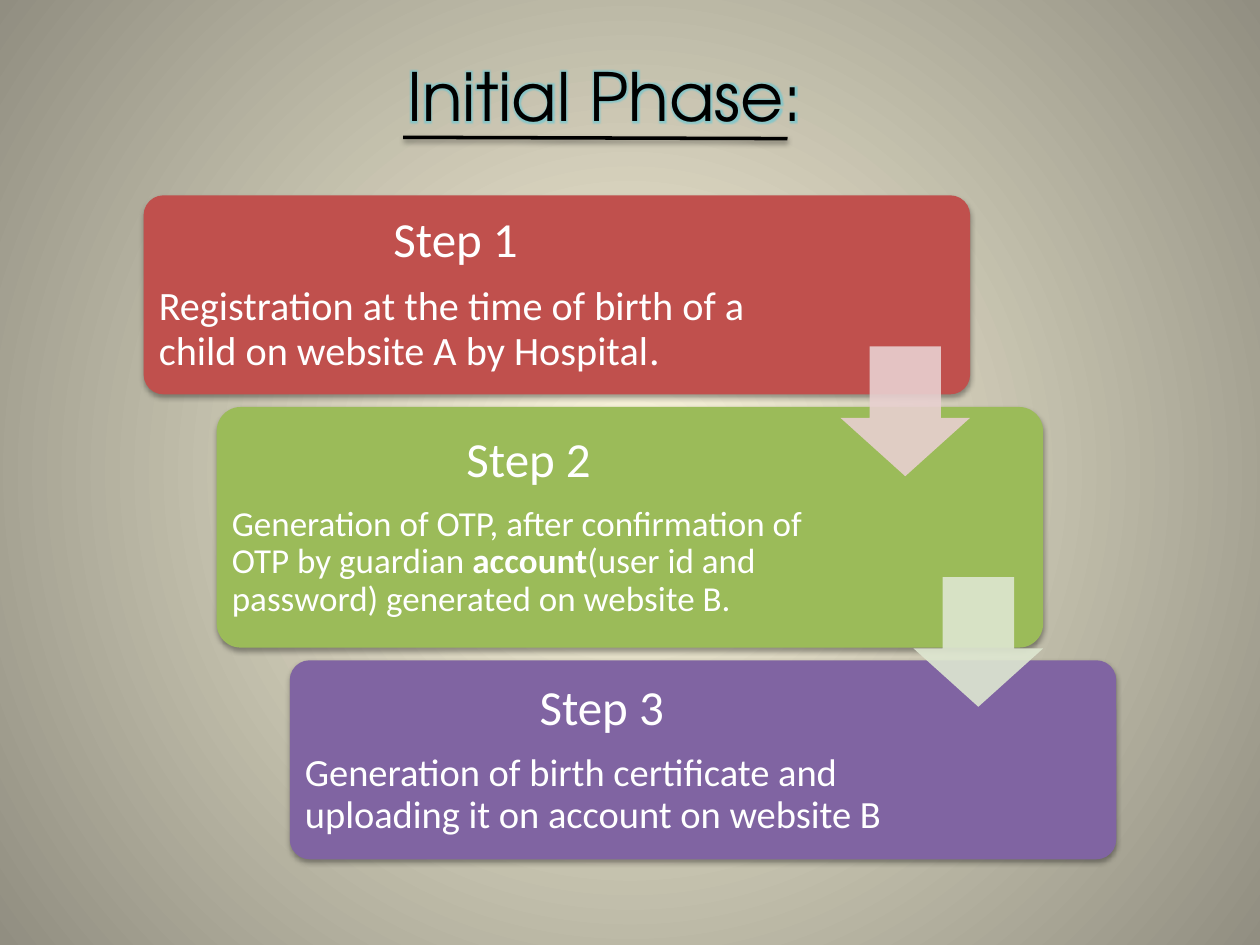
from lxml import etree
from pptx import Presentation
from pptx.dml.color import RGBColor
from pptx.enum.shapes import MSO_CONNECTOR as CONNECTOR, MSO_SHAPE as SHAPE
from pptx.enum.text import MSO_ANCHOR as ANCHOR, MSO_AUTO_SIZE as AUTO_SIZE, PP_ALIGN as ALIGN
from pptx.oxml import parse_xml
from pptx.oxml.ns import nsdecls, qn
from pptx.util import Inches, Pt

COLORS = {
    "center": "FCF7DD", "edge": "918E81", "black": "000000", "white": "FFFFFF",
    "red": "C0504D", "green": "9BBB59", "purple": "8064A2",
    "red_arrow": "E8D0D0", "green_arrow": "DEE7D1", "glow": "5FC8D8",
}
CARD_WIDTH, TEXT_WIDTH, ARROW_SIZE = 6.56, 4.95, 1.03
# top, height, fill, heading, body size, body runs as (text, bold, size or None)
STEPS = [
    (1.55, 1.58, "red", "Step 1", 23,
     [("Registration at the time of birth of a child on website A by Hospital", False, None),
      (".", False, 24)]),
    (3.23, 1.91, "green", "Step 2", 20,
     [("Generation of OTP, after confirmation of OTP by guardian ", False, None),
      ("account", True, None),
      ("(user id and password) generated on website B.", False, None)]),
    (5.24, 1.58, "purple", "Step 3", 22,
     [("Generation of birth certificate and uploading it on account on website B", False, None)]),
]
ARROWS = [(2.75, "red_arrow"), (4.58, "green_arrow")]


def color(name):
    return RGBColor.from_string(COLORS[name])


def style_font(font, name, size, color_name, bold=False):
    font.name, font.size, font.bold = name, Pt(size), bold
    font.color.rgb = color(color_name)


def add_shadow(shape, alpha, distance):
    properties = shape.element.spPr
    for old in properties.findall(qn("a:effectLst")):
        properties.remove(old)
    properties.append(parse_xml(
        f'<a:effectLst {nsdecls("a")}><a:outerShdw blurRad="{Pt(3.1)}" dist="{Pt(distance)}" '
        f'dir="5400000" rotWithShape="0"><a:srgbClr val="{COLORS["black"]}">'
        f'<a:alpha val="{alpha * 1000}"/></a:srgbClr></a:outerShdw></a:effectLst>'))


def fill_background(slide):
    fill = slide.background.fill
    fill.gradient()
    for stop, name in zip(fill.gradient_stops, ("center", "edge")):
        stop.color.rgb = color(name)
    linear = slide.element.find(".//" + qn("a:lin"))
    linear.getparent().replace(linear, parse_xml(
        f'<a:path {nsdecls("a")} path="circle">'
        '<a:fillToRect l="50000" t="50000" r="50000" b="50000"/></a:path>'))


def add_title(slide, left, top, width, height):
    title = slide.shapes.title
    title.left, title.top, title.width, title.height = map(Inches, (left, top, width, height))
    frame = title.text_frame
    frame.text = "Initial Phase:"
    frame.auto_size, frame.vertical_anchor = AUTO_SIZE.NONE, ANCHOR.MIDDLE
    frame.paragraphs[0].alignment = ALIGN.CENTER
    run = frame.paragraphs[0].runs[0]
    style_font(run.font, "TeX Gyre Adventor", 38, "black")
    run.font.fill.solid()
    run.font.color.rgb = color("black")
    fill = run.font.fill
    solid = title.element.find(".//" + qn("a:rPr")).find(qn("a:solidFill"))
    solid.addnext(parse_xml(
        f'<a:effectLst {nsdecls("a")}><a:glow rad="{Pt(3)}"><a:srgbClr val="{COLORS["glow"]}">'
        '<a:alpha val="60000"/></a:srgbClr></a:glow></a:effectLst>'))

    underline = slide.shapes.add_connector(
        CONNECTOR.STRAIGHT, Inches(left + 0.25), Inches(top + 0.71),
        Inches(left + 3.3), Inches(top + 0.72))
    underline.line.color.rgb = color("black")
    underline.line.width = Pt(2)
    add_shadow(underline, 38, 1.6)


def add_step(slide, left, top, height, fill, heading, size, body):
    box = [Inches(value) for value in (left, top, CARD_WIDTH, height)]
    card = slide.shapes.add_shape(SHAPE.ROUNDED_RECTANGLE, *box)
    card.adjustments[0] = 0.1
    card.fill.solid()
    card.fill.fore_color.rgb = color(fill)
    card.line.fill.background()
    add_shadow(card, 35, 1.8)

    box[2] = Inches(TEXT_WIDTH)
    frame = slide.shapes.add_textbox(*box).text_frame
    frame.word_wrap, frame.vertical_anchor = True, ANCHOR.MIDDLE
    frame.margin_left = frame.margin_right = Inches(0.12)
    frame.margin_top = frame.margin_bottom = Inches(0.12)
    frame.text = heading
    first, second = frame.paragraphs[0], frame.add_paragraph()
    first.alignment = ALIGN.CENTER
    style_font(first.runs[0].font, "Calibri", 28, "white")
    for text, bold, own_size in body:
        run = second.add_run()
        run.text = text
        style_font(run.font, "Calibri", own_size or size, "white", bold)
    for paragraph in (first, second):
        paragraph.line_spacing = 0.9
        paragraph.space_after = Pt(10)


def add_arrow(slide, left, top, fill):
    arrow = slide.shapes.add_shape(
        SHAPE.DOWN_ARROW, Inches(left), Inches(top), Inches(ARROW_SIZE), Inches(ARROW_SIZE))
    arrow.adjustments[0], arrow.adjustments[1] = 0.55, 0.45
    arrow.shadow.inherit = False
    arrow.fill.solid()
    arrow.fill.fore_color.rgb = color(fill)
    arrow.line.fill.background()
    solid = arrow.element.spPr.find(qn("a:solidFill"))
    etree.SubElement(solid[0], qn("a:alpha")).set("val", "90000")


def add_staircase(slide, left, indent):
    """Each card is indented from the one above; arrows end at its right edge."""
    for index, step in enumerate(STEPS):
        add_step(slide, left + index * indent, *step)
    for index, (top, fill) in enumerate(ARROWS):
        add_arrow(slide, left + index * indent + CARD_WIDTH - ARROW_SIZE, top, fill)


def main():
    presentation = Presentation()
    presentation.slide_width, presentation.slide_height = Inches(10), Inches(7.5)
    slide = presentation.slides.add_slide(presentation.slide_layouts[5])
    fill_background(slide)
    add_staircase(slide, left=1.14, indent=0.58)
    add_title(slide, 2.95, 0.38, 3.7, 0.74)
    presentation.save("out.pptx")


if __name__ == "__main__":
    main()
